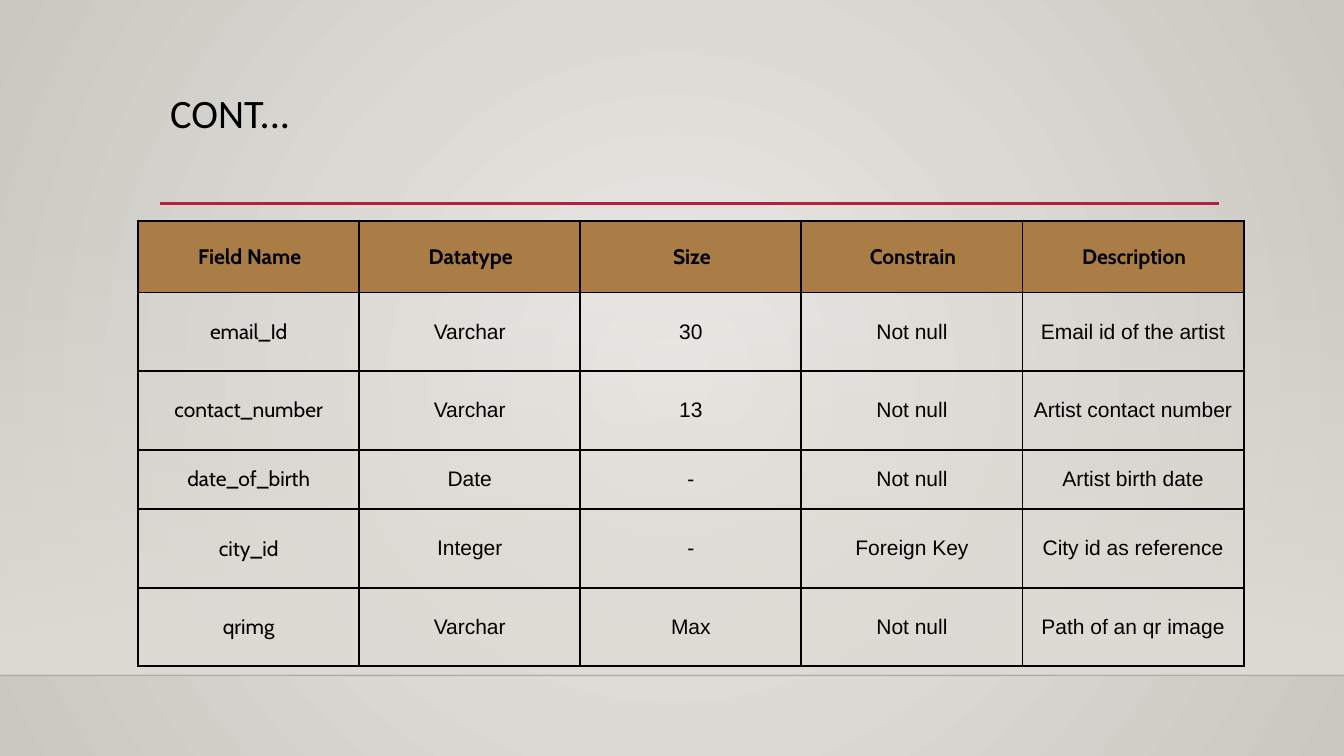
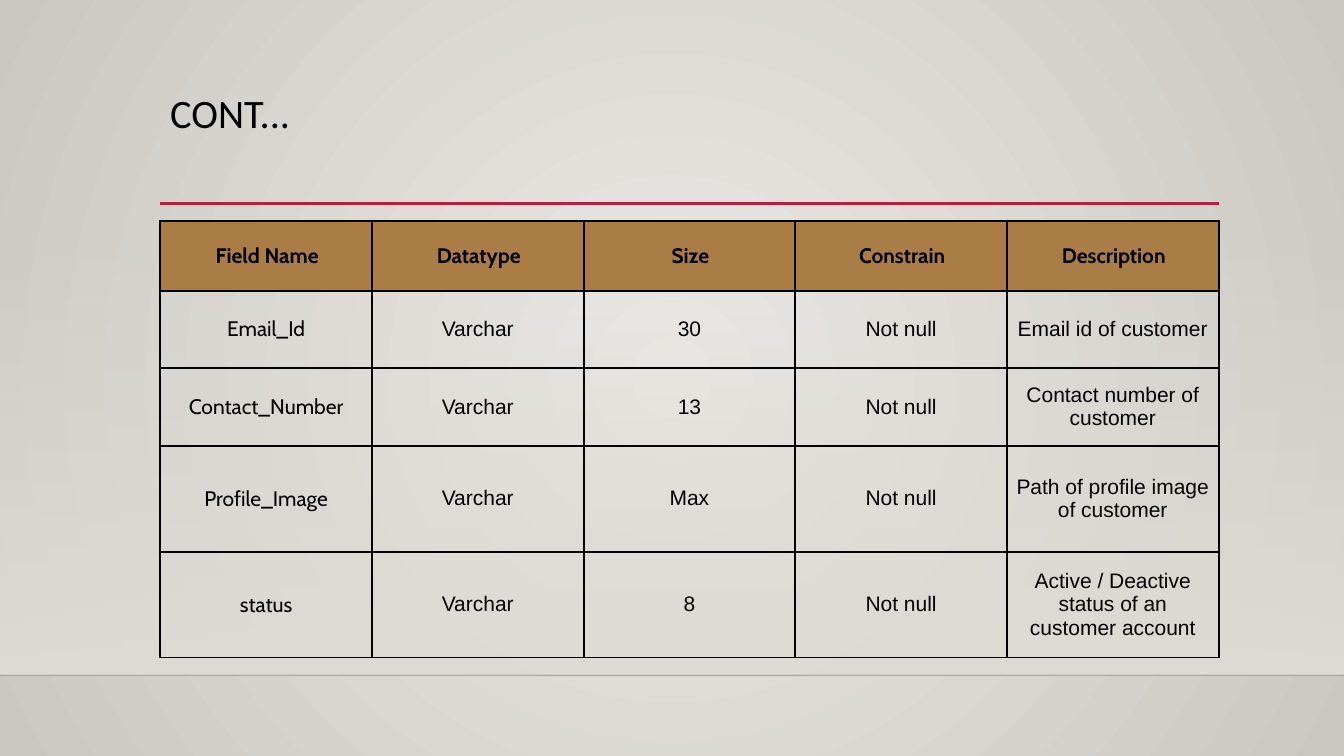
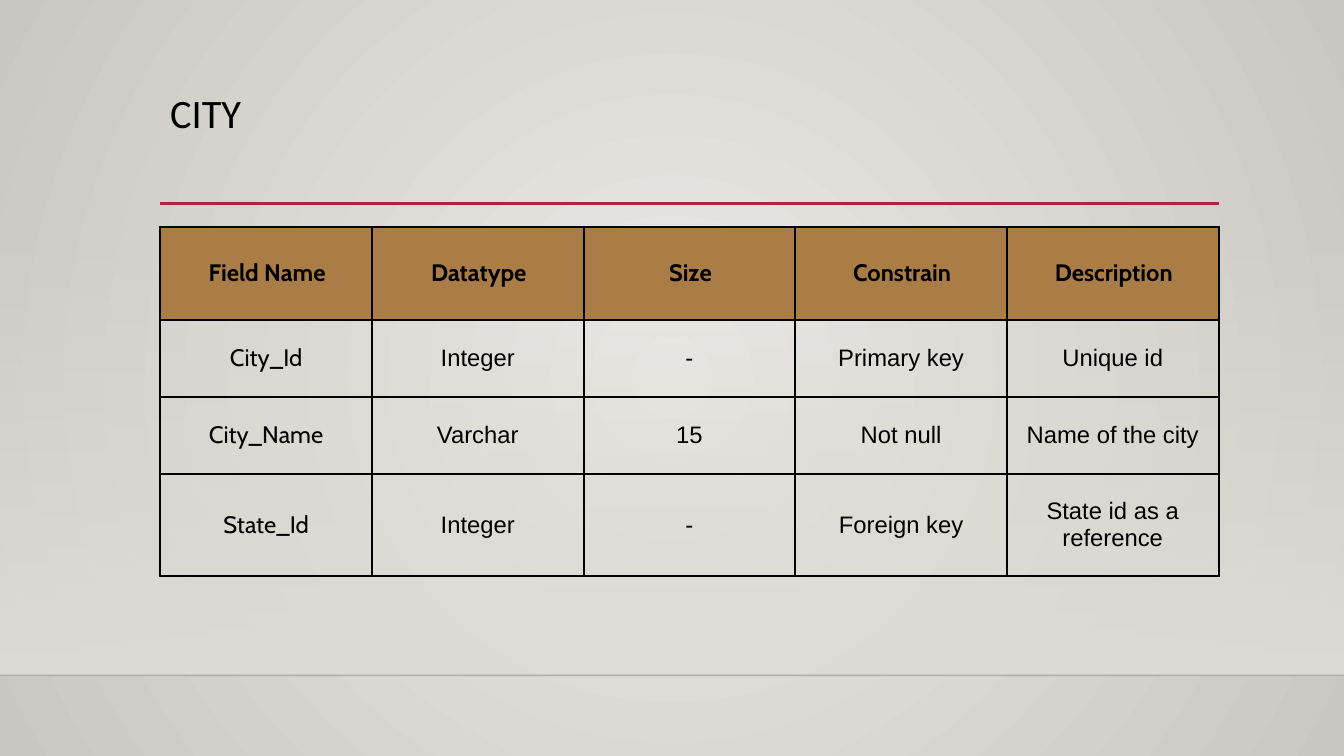
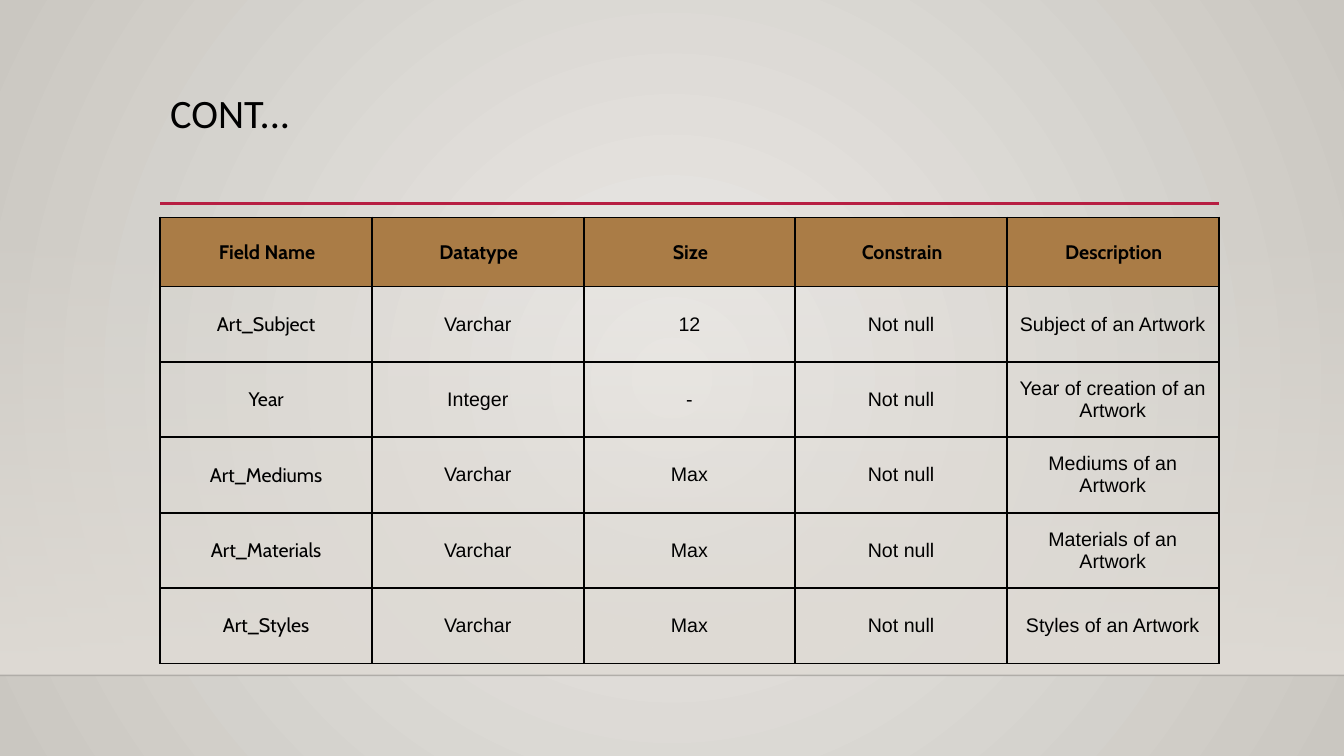
from lxml import etree
from pptx import Presentation
from pptx import util as u
from pptx.dml.color import RGBColor
from pptx.enum import shapes, text
from pptx.oxml.ns import qn

HEADINGS = ["Field Name", "Datatype", "Size", "Constrain", "Description"]


def colour(value):
    return RGBColor.from_string(value)


def add_alpha(fill_element, percent):
    alpha = etree.SubElement(fill_element.find(".//" + qn("a:srgbClr")), qn("a:alpha"))
    alpha.set("val", str(percent * 1000))


class Style:
    WIDTH, HEIGHT = 33.87, 19.05
    LEFT, RIGHT = 4.04, 30.73
    CONTENT_WIDTH = 26.67
    RULE_TOP, BAND_TOP, FLOOR = 5.13, 5.61, 17.02
    INK, ACCENT, HEADER = "000000", "B71E42", "AA7C46"
    GLOW, EDGE, BAND = "ECEAE7", "CAC7C1", "DFDBD5"
    TITLE_FONT, FIELD_FONT, BODY_FONT = "Calibri", "Cabin", "Arial"

    def __init__(self):
        self.deck = Presentation()
        self.deck.slide_width = u.Cm(self.WIDTH)
        self.deck.slide_height = u.Cm(self.HEIGHT)
        self.page = None

    def new_page(self, title):
        self.page = self.deck.slides.add_slide(self.deck.slide_layouts[6])
        self.backdrop()
        self.band()
        floor = self.line(0, self.WIDTH, self.FLOOR, self.INK, 1)
        add_alpha(floor.line._get_or_add_ln(), 20)
        self.line(self.LEFT, self.RIGHT, self.RULE_TOP, self.ACCENT, 2.5)
        self.title(title)

    def gradient(self, fill, first, last):
        fill.gradient()
        for stop, value in zip(fill.gradient_stops, (first, last)):
            stop.color.rgb = colour(value)

    def backdrop(self):
        fill = self.page.background.fill
        self.gradient(fill, self.GLOW, self.EDGE)
        linear = self.page.element.find(".//" + qn("a:lin"))
        circle = etree.Element(qn("a:path"), path="circle")
        sides = dict.fromkeys("ltrb", "50000")
        etree.SubElement(circle, qn("a:fillToRect"), sides)
        linear.getparent().replace(linear, circle)

    def band(self):
        band = self.page.shapes.add_shape(
            shapes.MSO_SHAPE.RECTANGLE, 0, u.Cm(self.BAND_TOP),
            u.Cm(self.WIDTH), u.Cm(self.FLOOR - self.BAND_TOP))
        band.shadow.inherit = False
        band.line.fill.background()
        self.gradient(band.fill, self.BAND, self.BAND)
        band.fill.gradient_angle = 270
        add_alpha(band.element.find(".//" + qn("a:gs")), 0)

    def line(self, left, right, top, value, width):
        line = self.page.shapes.add_connector(
            shapes.MSO_CONNECTOR.STRAIGHT, u.Cm(left), u.Cm(top), u.Cm(right), u.Cm(top))
        line.line.color.rgb = colour(value)
        line.line.width = u.Pt(width)
        etree.SubElement(line.element.spPr, qn("a:effectLst"))
        return line

    def font(self, para, name, size, bold=False):
        for span in para.runs:
            span.font.name = name
            span.font.size = u.Pt(size)
            span.font.bold = bold
            span.font.color.rgb = colour(self.INK)

    def title(self, words):
        box = self.page.shapes.add_textbox(
            u.Cm(self.LEFT), u.Cm(2.24), u.Cm(self.CONTENT_WIDTH), u.Cm(2.92))
        box.text_frame.word_wrap = True
        box.text_frame.text = words
        para = box.text_frame.paragraphs[0]
        para.line_spacing = 0.9
        self.font(para, self.TITLE_FONT, 28.8)

    def borders(self, cell):
        properties = cell._tc.get_or_add_tcPr()
        for side in ("lnL", "lnR", "lnT", "lnB"):
            border = etree.SubElement(properties, qn("a:" + side), w=str(u.Pt(1.5)))
            fill = etree.SubElement(border, qn("a:solidFill"))
            etree.SubElement(fill, qn("a:srgbClr"), val=self.INK)

    def cell(self, cell, words, header, font, size, inset):
        self.borders(cell)
        if header:
            cell.fill.solid()
            cell.fill.fore_color.rgb = colour(self.HEADER)
        else:
            cell.fill.background()
        cell.margin_left = cell.margin_right = u.Cm(inset)
        cell.margin_top = cell.margin_bottom = u.Cm(inset)
        cell.vertical_anchor = text.MSO_ANCHOR.MIDDLE
        cell.text_frame.text = words
        para = cell.text_frame.paragraphs[0]
        para.alignment = text.PP_ALIGN.CENTER
        if header:
            para._p.get_or_add_pPr().set("marL", str(u.Cm(0.05)))
        self.font(para, font, size, header)

    def table(self, fields, heights, top, size, inset, left=LEFT, width=CONTENT_WIDTH):
        rows = [HEADINGS] + fields
        table = self.page.shapes.add_table(
            len(rows), len(HEADINGS), u.Cm(left), u.Cm(top),
            u.Cm(width), u.Cm(sum(heights))).table
        table.horz_banding = False
        for column in table.columns:
            column.width = u.Cm(width / len(HEADINGS))
        for i, (row, height) in enumerate(zip(rows, heights)):
            table.rows[i].height = u.Cm(height)
            for j, words in enumerate(row):
                header = i == 0
                font = self.FIELD_FONT if header or j == 0 else self.BODY_FONT
                self.cell(table.cell(i, j), words, header, font, size, inset)


def main():
    style = Style()

    style.new_page("CONT...")
    style.table([
        ["email_Id", "Varchar", "30", "Not null", "Email id of the artist"],
        ["contact_number", "Varchar", "13", "Not null", "Artist contact number"],
        ["date_of_birth", "Date", "-", "Not null", "Artist birth date"],
        ["city_id", "Integer", "-", "Foreign Key", "City id as reference"],
        ["qrimg", "Varchar", "Max", "Not null", "Path of an qr image"],
    ], [1.81, 1.98, 1.98, 1.5, 1.98, 1.98], top=5.56, size=15, inset=0.22,
        left=3.48, width=27.86)

    style.new_page("CONT...")
    style.table([
        ["Email_Id", "Varchar", "30", "Not null", "Email id of customer"],
        ["Contact_Number", "Varchar", "13", "Not null", "Contact number of customer"],
        ["Profile_Image", "Varchar", "Max", "Not null", "Path of profile image of customer"],
        ["status", "Varchar", "8", "Not null", "Active / Deactive status of an customer account"],
    ], [1.77, 1.94, 1.96, 2.67, 2.67], top=5.56, size=15, inset=0.22)

    style.new_page("CITY")
    style.table([
        ["City_Id", "Integer", "-", "Primary key", "Unique id"],
        ["City_Name", "Varchar", "15", "Not null", "Name of the city"],
        ["State_Id", "Integer", "-", "Foreign key", "State id as a reference"],
    ], [2.34, 1.94, 1.94, 2.58], top=5.72, size=17, inset=0.25)

    style.new_page("CONT...")
    style.table([
        ["Art_Subject", "Varchar", "12", "Not null", "Subject of an Artwork"],
        ["Year", "Integer", "-", "Not null", "Year of creation of an Artwork"],
        ["Art_Mediums", "Varchar", "Max", "Not null", "Mediums of an Artwork"],
        ["Art_Materials", "Varchar", "Max", "Not null", "Materials of an Artwork"],
        ["Art_Styles", "Varchar", "Max", "Not null", "Styles of an Artwork"],
    ], [1.74] + [1.9] * 5, top=5.48, size=14, inset=0.21)

    style.deck.save("out.pptx")


if __name__ == "__main__":
    main()
